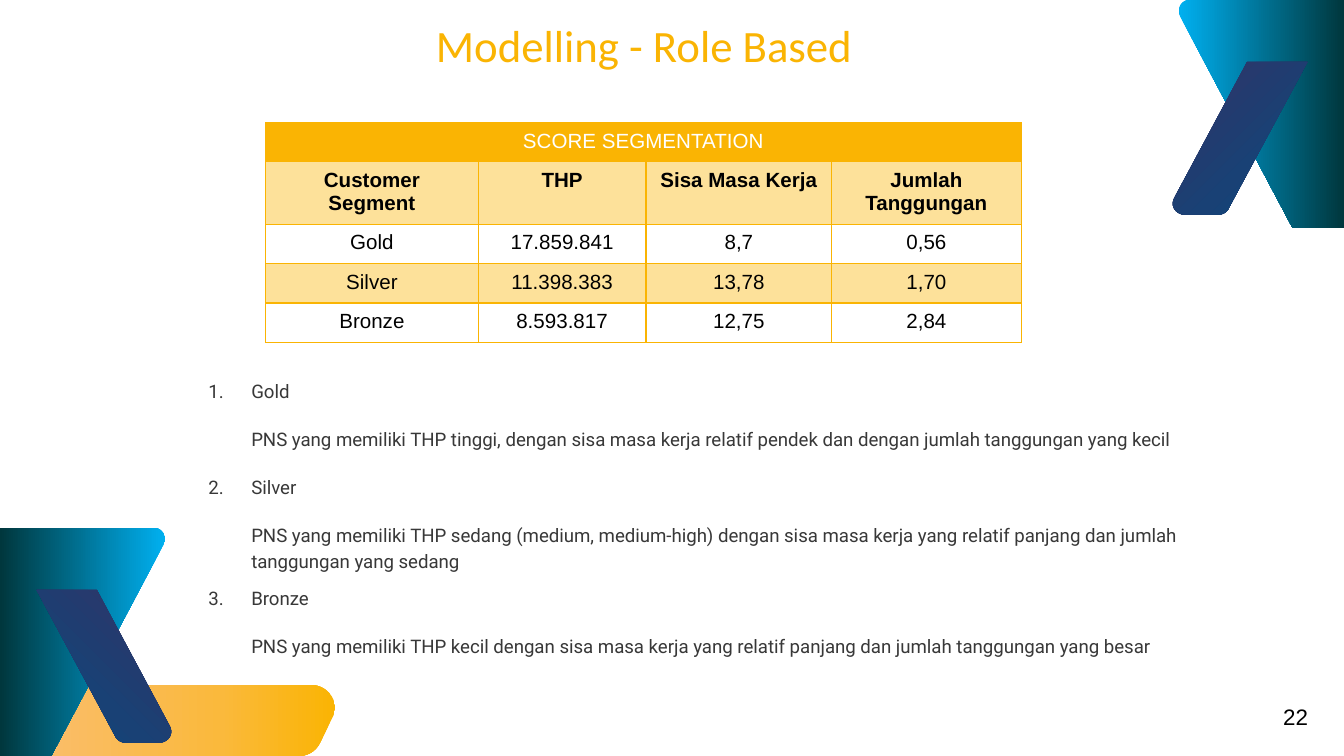
from dataclasses import dataclass

from lxml import etree
from pptx import Presentation
from pptx import util as u
from pptx.dml.color import RGBColor
from pptx.enum import text
from pptx.oxml.ns import qn

SLIDE_WIDTH, SLIDE_HEIGHT = 25.4, 14.29
AMBER, BLACK, WHITE, GREY = "FAB403", "000000", "FFFFFF", "383838"
CENTER, RIGHT = text.PP_ALIGN.CENTER, text.PP_ALIGN.RIGHT


@dataclass(frozen=True)
class Ribbon:
    """Outline in cm: pairs are corners, triples of pairs are Bezier curves."""
    outline: tuple
    stops: tuple
    angle: int


@dataclass(frozen=True)
class Segment:
    name: str
    description: str
    space_before: int
    space_after: int = 0


YELLOW_FOOT = Ribbon(
    ((5.89, 2.97), (0, 2.97), (0, 4.31), (5.64, 4.31),
     ((5.82, 4.31), (5.97, 4.22), (6.05, 4.06)), (6.27, 3.61),
     ((6.45, 3.33), (6.22, 2.97), (5.89, 2.97))),
    ((0, "FAB403"), (34, "FAB93C"), (100, "FABE75")), 180)
BLUE_WEDGE = Ribbon(
    ((2.92, 0), (0, 0), (0, 4.31), (0.97, 4.31), (3.1, 0.3),
     ((3.18, 0.18), (3.07, 0), (2.92, 0))),
    ((0, "00B0F0"), (100, "00373D")), 180)
INDIGO_BAR = Ribbon(
    ((2.39, 4.06), (3, 4.06), ((3.18, 4.06), (3.3, 3.89), (3.2, 3.73)),
     (1.83, 1.17), (0.69, 1.17), (2.18, 3.94),
     ((2.21, 4.01), (2.29, 4.06), (2.39, 4.06))),
    ((0, "323366"), (63, "194175"), (100, "004F83")), 135)

SCORES = (
    ("Customer Segment", "THP", "Sisa Masa Kerja", "Jumlah Tanggungan"),
    ("Gold", "17.859.841", "8,7", "0,56"),
    ("Silver", "11.398.383", "13,78", "1,70"),
    ("Bronze", "8.593.817", "12,75", "2,84"),
)
COLUMN_WIDTHS = (4.02, 3.17, 3.51, 3.58)
ROW_HEIGHTS = (0.74, 1.14, 0.74, 0.74, 0.74)

SEGMENTS = (
    Segment("Gold", "PNS yang memiliki THP tinggi, dengan sisa masa kerja relatif "
            "pendek dan dengan jumlah tanggungan yang kecil", 6),
    Segment("Silver", "PNS yang memiliki THP sedang (medium, medium-high) dengan sisa "
            "masa kerja yang relatif panjang dan jumlah tanggungan yang sedang", 12),
    Segment("Bronze", "PNS yang memiliki THP kecil dengan sisa masa kerja yang relatif "
            "panjang dan jumlah tanggungan yang besar", 6, 5),
)


def rgb(value: str) -> RGBColor:
    return RGBColor.from_string(value)


def apply(target, values: dict) -> None:
    for name, value in values.items():
        setattr(target, name, value)


def add_xml(parent, tag: str, **attributes):
    return etree.SubElement(parent, qn(tag), {k: str(v) for k, v in attributes.items()})


def write(paragraph, content: str, font: str, size: float, color: str,
          bold: bool = False, alignment=None) -> None:
    run = paragraph.add_run()
    run.text = content
    apply(run.font, {"name": font, "size": u.Pt(size), "bold": bold})
    run.font.color.rgb = rgb(color)
    paragraph.alignment = alignment


def place(shape, left: float, top: float, width: float, height: float) -> None:
    apply(shape, {"left": u.Cm(left), "top": u.Cm(top),
                  "width": u.Cm(width), "height": u.Cm(height)})


def format_frame(frame, margin: float, anchor) -> None:
    apply(frame, {"word_wrap": True, "vertical_anchor": anchor,
                  "margin_left": u.Cm(0.25), "margin_right": u.Cm(0.25),
                  "margin_top": u.Cm(margin), "margin_bottom": u.Cm(margin)})


def flatten(outline: tuple, steps: int = 10) -> list:
    """Turn the curves of an outline into short straight pieces."""
    points = []
    for part in outline:
        if not isinstance(part[0], tuple):
            points.append(part)
            continue
        start, (first, second, end) = points[-1], part
        for step in range(1, steps + 1):
            t = step / steps
            weights = ((1 - t) ** 3, 3 * t * (1 - t) ** 2, 3 * t * t * (1 - t), t ** 3)
            corners = (start, first, second, end)
            points.append(tuple(sum(w * c[axis] for w, c in zip(weights, corners))
                                for axis in (0, 1)))
    return points


def add_ribbon(slide, ribbon: Ribbon, top: float, mirrored: bool = False) -> None:
    points = [(u.Cm(SLIDE_WIDTH - x if mirrored else x), u.Cm(top + y))
              for x, y in flatten(ribbon.outline)]
    builder = slide.shapes.build_freeform(*points[0])
    builder.add_line_segments(points[1:], close=True)
    shape = builder.convert_to_shape()
    shape.shadow.inherit = False
    shape.line.fill.background()
    shape.fill.background()

    gradient = etree.Element(qn("a:gradFill"), rotWithShape="1")
    stop_list = add_xml(gradient, "a:gsLst")
    for position, color in ribbon.stops:
        stop = add_xml(stop_list, "a:gs", pos=position * 1000)
        add_xml(stop, "a:srgbClr", val=color)
    angle = (180 - ribbon.angle) % 360 if mirrored else ribbon.angle
    add_xml(gradient, "a:lin", ang=angle * 60000, scaled=0)
    properties = shape.element.spPr
    properties.replace(properties.find(qn("a:noFill")), gradient)


def add_borders(cell, color: str, points: float) -> None:
    properties = cell._tc.get_or_add_tcPr()
    for index, side in enumerate(("a:lnL", "a:lnR", "a:lnT", "a:lnB")):
        line = etree.Element(qn(side), w=str(u.Pt(points)))
        add_xml(add_xml(line, "a:solidFill"), "a:srgbClr", val=color)
        properties.insert(index, line)


def fill_cell(cell, color: str | None, opacity: int = 100) -> None:
    if color is None:
        cell.fill.background()
        return
    cell.fill.solid()
    cell.fill.fore_color.rgb = rgb(color)
    if opacity < 100:
        value = cell._tc.tcPr.find(".//" + qn("a:srgbClr"))
        add_xml(value, "a:alpha", val=opacity * 1000)


def add_score_table(slide) -> None:
    frame = slide.shapes.add_table(
        len(ROW_HEIGHTS), len(COLUMN_WIDTHS), u.Cm(5.02), u.Cm(2.32),
        u.Cm(sum(COLUMN_WIDTHS)), u.Cm(sum(ROW_HEIGHTS)))
    table = frame.table
    apply(table, {"first_row": False, "horz_banding": False})
    for column, width in zip(table.columns, COLUMN_WIDTHS):
        column.width = u.Cm(width)
    for row, height in zip(table.rows, ROW_HEIGHTS):
        row.height = u.Cm(height)

    # Heading across all columns
    heading = table.cell(0, 0)
    heading.merge(table.cell(0, len(COLUMN_WIDTHS) - 1))
    write(heading.text_frame.paragraphs[0], "SCORE SEGMENTATION", "Arial", 11,
          WHITE, alignment=CENTER)
    for cell in table.rows[0].cells:
        fill_cell(cell, AMBER)
        add_borders(cell, AMBER, 0.75)

    # Column names and scores, every other row tinted
    for row, values in enumerate(SCORES, 1):
        for column, value in enumerate(values):
            cell = table.cell(row, column)
            write(cell.text_frame.paragraphs[0], value, "Arial", 11, BLACK,
                  bold=row == 1, alignment=CENTER)
            fill_cell(cell, AMBER if row % 2 else None, 40)
            add_borders(cell, AMBER, 0.75)


def add_item(paragraph, content: str, before: int, after: int = 0, number: int = 0) -> None:
    write(paragraph, content, "Roboto", 10, GREY)
    apply(paragraph, {"line_spacing": 1.15, "space_before": u.Pt(before),
                      "space_after": u.Pt(after)})
    properties = paragraph._p.get_or_add_pPr()
    properties.set("marL", str(u.Cm(1.27)))
    properties.set("indent", str(u.Cm(-0.81) if number else 0))
    if number:
        add_xml(add_xml(properties, "a:buClr"), "a:srgbClr", val=GREY)
        add_xml(properties, "a:buAutoNum", type="arabicPeriod", startAt=number)


def add_text_frame(slide, box: tuple, margin: float, anchor):
    shape = slide.shapes.add_textbox(*map(u.Cm, box))
    format_frame(shape.text_frame, margin, anchor)
    return shape.text_frame


def main() -> None:
    presentation = Presentation()
    apply(presentation, {"slide_width": u.Cm(SLIDE_WIDTH), "slide_height": u.Cm(SLIDE_HEIGHT)})
    slide = presentation.slides.add_slide(presentation.slide_layouts[5])

    # Corner ribbons
    bottom = SLIDE_HEIGHT - 4.31
    for ribbon in (YELLOW_FOOT, BLUE_WEDGE, INDIGO_BAR):
        add_ribbon(slide, ribbon, bottom)
    for ribbon in (BLUE_WEDGE, INDIGO_BAR):
        add_ribbon(slide, ribbon, 0, mirrored=True)

    # Slide number
    number_frame = add_text_frame(slide, (19.23, 13.03, 5.74, 1.02), 0.13, text.MSO_ANCHOR.MIDDLE)
    write(number_frame.paragraphs[0], "22", "Arial", 12, BLACK, alignment=RIGHT)

    # Title
    title = slide.shapes.title
    place(title, 1.45, 0.08, 21.44, 1.6)
    format_frame(title.text_frame, 0.25, text.MSO_ANCHOR.TOP)
    title.text_frame.auto_size = text.MSO_AUTO_SIZE.NONE
    write(title.text_frame.paragraphs[0], "Modelling - Role Based", "Calibri", 24,
          AMBER, alignment=CENTER)

    add_score_table(slide)

    # Segment descriptions
    frame = add_text_frame(slide, (3.23, 6.86, 20.4, 5.82), 0.25, text.MSO_ANCHOR.TOP)
    for number, segment in enumerate(SEGMENTS, 1):
        paragraph = frame.paragraphs[0] if number == 1 else frame.add_paragraph()
        add_item(paragraph, segment.name, segment.space_before, number=number)
        add_item(frame.add_paragraph(), segment.description, 12, segment.space_after)

    presentation.save("out.pptx")


if __name__ == "__main__":
    main()
